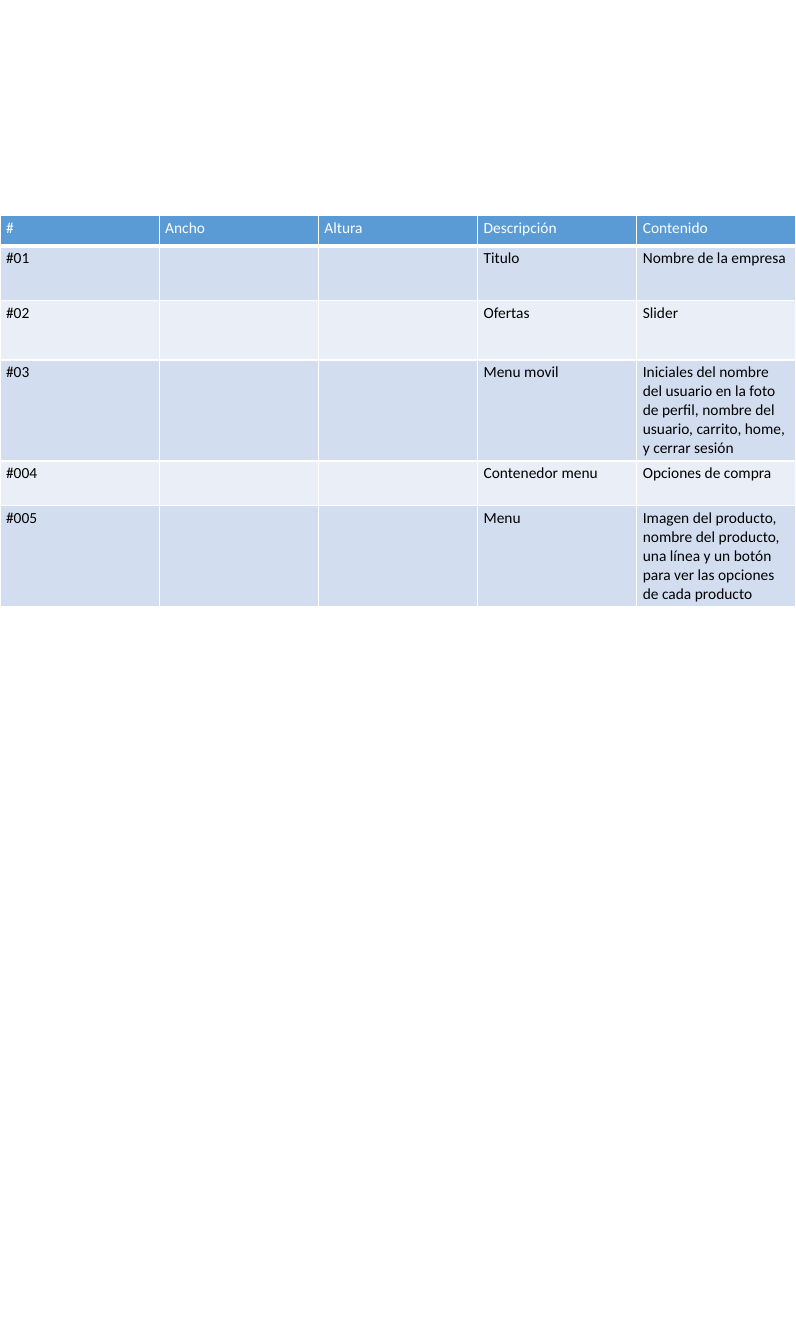
from dataclasses import dataclass

from lxml.etree import SubElement
from pptx import Presentation
from pptx.dml.color import RGBColor
from pptx.oxml.ns import qn
from pptx.util import Inches, Pt


@dataclass(frozen=True)
class Theme:
    font: str = "Calibri"
    size: int = 11
    header: str = "5B9BD5"
    bands: tuple = ("EAEFF7", "D2DEEF")
    header_text: str = "FFFFFF"
    body_text: str = "000000"
    border: str = "FFFFFF"
    border_width: int = 1
    header_rule: int = 3


def add_borders(cell, bottom_width):
    properties = cell._tc.get_or_add_tcPr()
    for side in ("L", "R", "T", "B"):
        width = bottom_width if side == "B" else theme.border_width
        line = SubElement(properties, qn(f"a:ln{side}"), w=str(Pt(width)))
        fill = SubElement(line, qn("a:solidFill"))
        SubElement(fill, qn("a:srgbClr"), val=theme.border)


theme = Theme()
slide_width = 7.89
row_heights = (0.3, 0.54, 0.59, 1, 0.44, 1)
rows = (
    ("#", "Ancho", "Altura", "Descripción", "Contenido"),
    ("#01", "", "", "Titulo", "Nombre de la empresa"),
    ("#02", "", "", "Ofertas", "Slider"),
    ("#03", "", "", "Menu movil",
     "Iniciales del nombre del usuario en la foto de perfil, "
     "nombre del usuario, carrito, home, y cerrar sesión"),
    ("#004", "", "", "Contenedor menu", "Opciones de compra"),
    ("#005", "", "", "Menu",
     "Imagen del producto, nombre del producto, una línea y un botón "
     "para ver las opciones de cada producto"),
)

deck = Presentation()
deck.slide_width = Inches(slide_width)
deck.slide_height = Inches(13.33)
page = deck.slides.add_slide(deck.slide_layouts[6])

sections = page.shapes.add_table(
    len(rows), len(rows[0]), Inches(0), Inches(2.14),
    Inches(slide_width), Inches(sum(row_heights)),
).table
for column in sections.columns:
    column.width = Inches(slide_width / len(rows[0]))

for row_index, (height, texts) in enumerate(zip(row_heights, rows)):
    sections.rows[row_index].height = Inches(height)
    is_header = row_index == 0
    fill_color = theme.header if is_header else theme.bands[row_index % 2]
    text_color = theme.header_text if is_header else theme.body_text
    for column_index, text in enumerate(texts):
        cell = sections.cell(row_index, column_index)
        cell.margin_left = cell.margin_right = Inches(0.06)
        cell.margin_top = cell.margin_bottom = Inches(0.03)
        add_borders(cell, theme.header_rule if is_header else theme.border_width)
        cell.fill.solid()
        cell.fill.fore_color.rgb = RGBColor.from_string(fill_color)
        cell.text_frame.text = text
        font = cell.text_frame.paragraphs[0].font
        for span in cell.text_frame.paragraphs[0].runs:
            span.font.name = theme.font
            span.font.size = Pt(theme.size)
            span.font.bold = False
            span.font.color.rgb = RGBColor.from_string(text_color)

deck.save("out.pptx")
